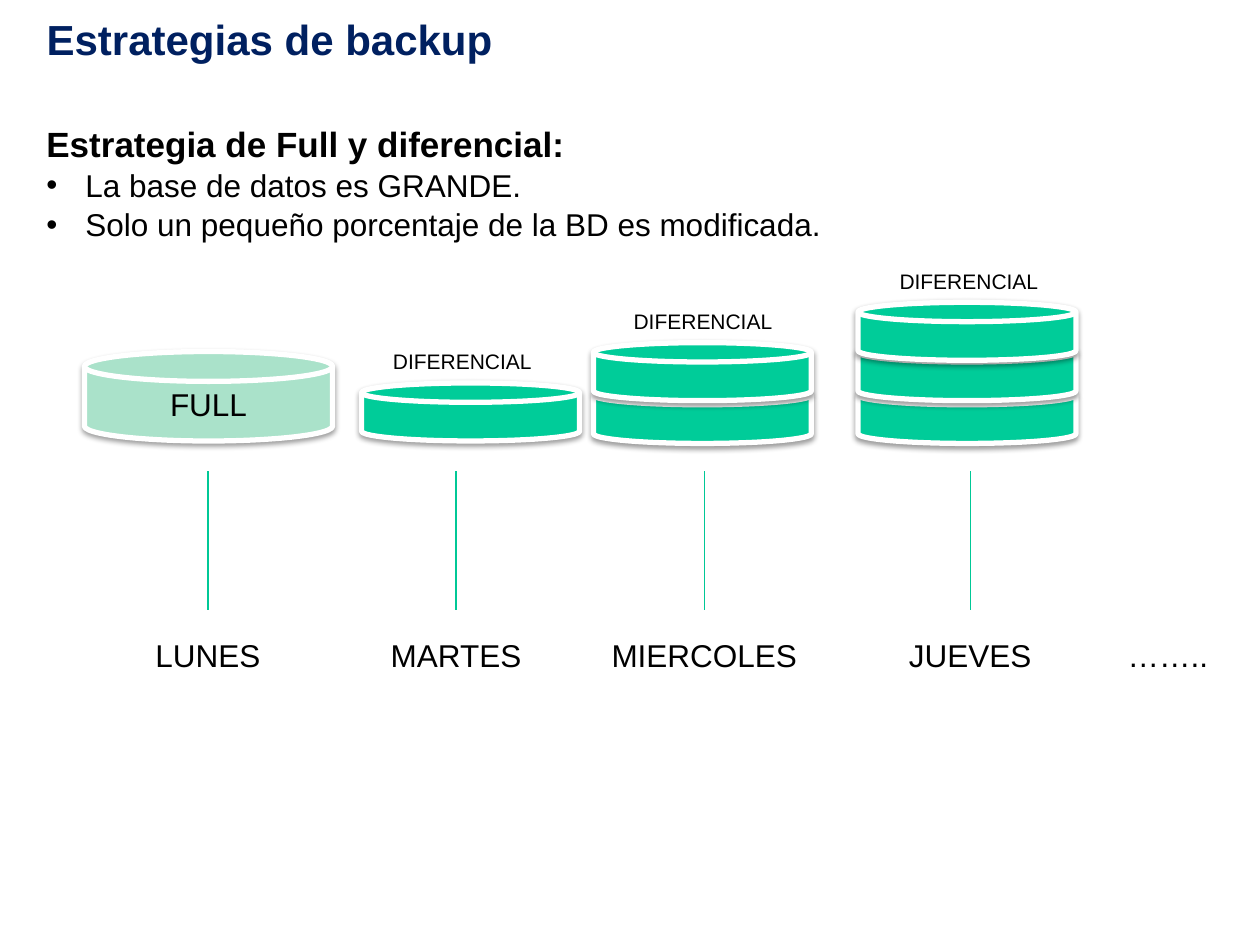
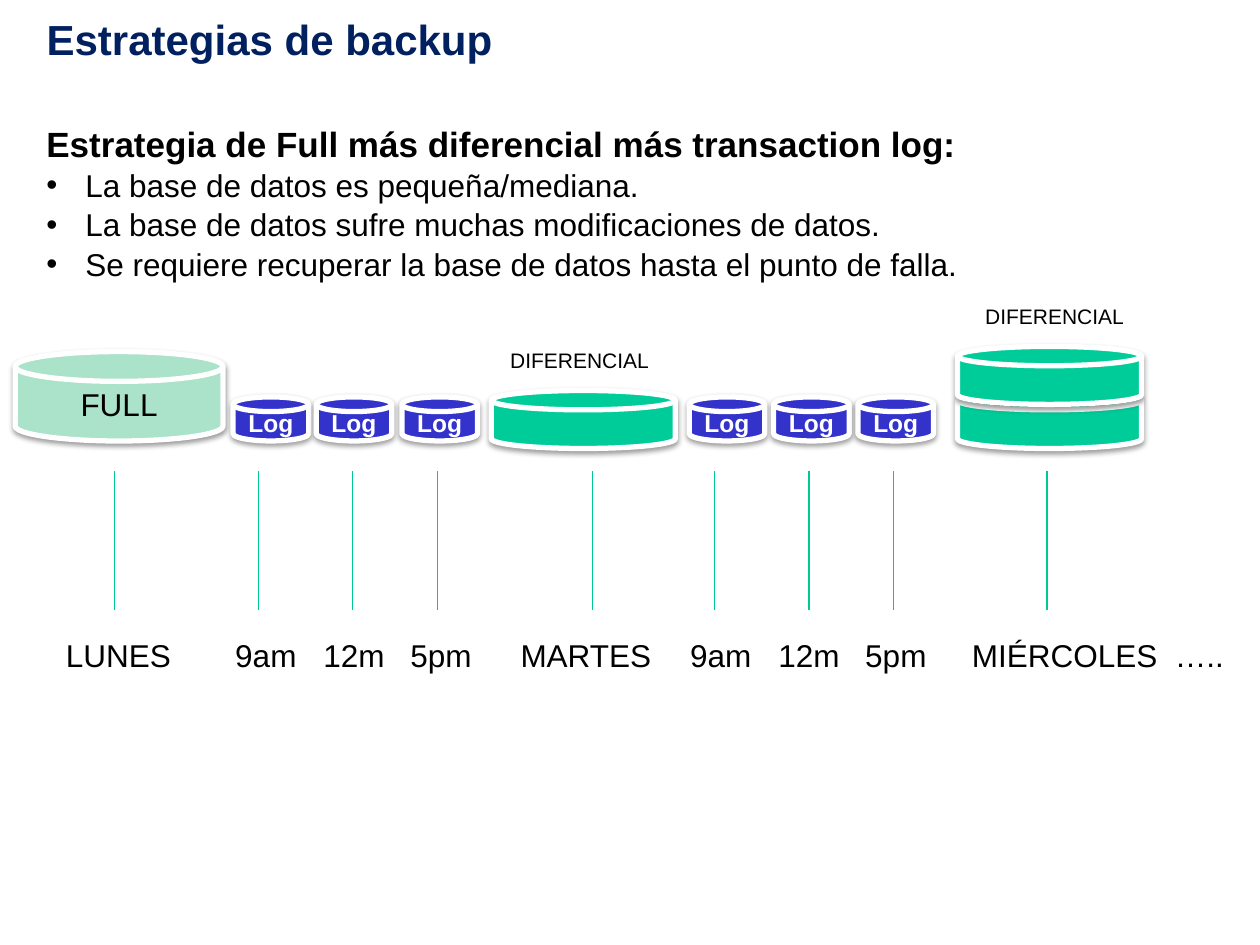
"""Build two slides on backup strategies, each with a timeline of disk stacks."""
import pptx
import pptx.util
import pptx.dml.color
import pptx.enum.shapes
import pptx.enum.text
import pptx.oxml
import pptx.oxml.ns
from lxml import etree

Inches, Pt = pptx.util.Inches, pptx.util.Pt
PP_ALIGN, ANCHOR = pptx.enum.text.PP_ALIGN, pptx.enum.text.MSO_ANCHOR

COLORS = {
    "title": "002060", "text": "000000", "white": "FFFFFF", "line": "00C896",
    "full": "AAE2CA", "diff": "00CC99", "log": "3333CC",
}
FONT = "Arial"
TITLE = "Estrategias de backup"
CAPTION = "DIFERENCIAL"
LINE_TOP, LINE_BOTTOM = 3.74, 4.84
LABEL_TOP, LABEL_W = 5, 1.97

# kind: (height, text, size, colour, bold)
DISKS = {
    "full": (0.71, "FULL", 18, "text", False),
    "diff": (0.46, "", 18, "text", False),
    "log": (0.35, "Log", 14, "white", True),
}

# stacks: (kind, left, tops from bottom to top, caption centre)
# labels: (text, centre)
SLIDES = [
    {
        "heading": "Estrategia de Full y diferencial:",
        "bullets": ["La base de datos es GRANDE.",
                    "Solo un pequeño porcentaje de la BD es modificada."],
        "widths": {"full": 1.97, "diff": 1.73},
        "caption_gap": 0.32,
        "stacks": [("full", 0.67, [2.79], None),
                   ("diff", 2.87, [3.04], 3.67),
                   ("diff", 4.71, [3.06, 2.72], 5.58),
                   ("diff", 6.81, [3.06, 2.72, 2.4], 7.69)],
        "lines": [1.65, 3.62, 5.59, 7.7],
        "labels": [("LUNES", 1.65), ("MARTES", 3.62), ("MIERCOLES", 5.59),
                   ("JUEVES", 7.7), ("……..", 9.27)],
    },
    {
        "heading": "Estrategia de Full más diferencial más transaction log:",
        "bullets": ["La base de datos es pequeña/mediana.",
                    "La base de datos sufre muchas modificaciones de datos.",
                    "Se requiere recuperar la base de datos hasta el punto de falla."],
        "widths": {"full": 1.65, "diff": 1.46, "log": 0.6},
        "caption_gap": 0.39,
        "stacks": [("full", 0.12, [2.79], None),
                   *[("log", x, [3.15], None) for x in (1.85, 2.51, 3.19)],
                   ("diff", 3.9, [3.1], 4.6),
                   *[("log", x, [3.15], None) for x in (5.47, 6.14, 6.81)],
                   ("diff", 7.6, [3.1, 2.75], 8.37)],
        "lines": [0.91, 2.05, 2.8, 3.47, 4.7, 5.67, 6.42, 7.09, 8.31],
        "labels": [("LUNES", 0.94), ("9am", 2.11), ("12m", 2.81), ("5pm", 3.5),
                   ("MARTES", 4.65), ("9am", 5.72), ("12m", 6.42), ("5pm", 7.11),
                   ("MIÉRCOLES", 8.45), ("…..", 9.52)],
    },
]


def rgb(name):
    return pptx.dml.color.RGBColor.from_string(COLORS[name])


def write(p, text, size, color="text", bold=False, align=PP_ALIGN.LEFT):
    p.text = text
    p.alignment = align
    for r in p.runs:
        r.font.name, r.font.size, r.font.bold = FONT, Pt(size), bold
        r.font.color.rgb = rgb(color)


def add_title(s):
    sp = s.shapes.title
    sp.left, sp.top, sp.width, sp.height = map(Inches, (0.27, 0.05, 8.83, 0.51))
    sp.text_frame.vertical_anchor = ANCHOR.MIDDLE
    write(sp.text_frame.paragraphs[0], TITLE, 24, "title", True)


def add_box(s, left, top, width, height):
    tf = s.shapes.add_textbox(*map(Inches, (left, top, width, height))).text_frame
    tf.word_wrap = True
    return tf


def add_body(s, heading, bullets):
    tf = add_box(s, 0.27, 0.92, 9.46, 0.42 + 0.31 * len(bullets))
    write(tf.paragraphs[0], heading, 20, bold=True)
    for text in bullets:
        p = tf.add_paragraph()
        write(p, text, 18)
        p.space_before = Pt(1)
        pPr = p._p.get_or_add_pPr()
        pPr.set("marL", str(Inches(0.31)))
        pPr.set("indent", str(-Inches(0.31)))
        etree.SubElement(pPr, pptx.oxml.ns.qn("a:buFont"), typeface=FONT)
        etree.SubElement(pPr, pptx.oxml.ns.qn("a:buChar"), char="•")


def add_label(s, text, center, top, size, height):
    tf = add_box(s, center - LABEL_W / 2, top, LABEL_W, height)
    write(tf.paragraphs[0], text, size, align=PP_ALIGN.CENTER)


def add_shadow(sp):
    sp.shadow.inherit = False
    effects = sp._element.spPr.find(pptx.oxml.ns.qn("a:effectLst"))
    effects.append(pptx.oxml.parse_xml(
        f'<a:outerShdw {pptx.oxml.ns.nsdecls("a")} blurRad="{Pt(3.1)}" dist="{Pt(1.6)}" '
        'dir="5400000" rotWithShape="0"><a:srgbClr val="000000">'
        '<a:alpha val="38000"/></a:srgbClr></a:outerShdw>'))


def add_disk(s, kind, left, top, width):
    height, text, size, color, bold = DISKS[kind]
    sp = s.shapes.add_shape(
        pptx.enum.shapes.MSO_SHAPE.FLOWCHART_MAGNETIC_DISK,
        *map(Inches, (left, top, width, height)))
    sp.fill.solid()
    sp.fill.fore_color.rgb = rgb(kind)
    sp.line.color.rgb = rgb("white")
    sp.line.width = Pt(3)
    add_shadow(sp)
    if text:
        sp.text_frame.vertical_anchor = ANCHOR.MIDDLE
        write(sp.text_frame.paragraphs[0], text, size, color, bold, PP_ALIGN.CENTER)


def add_line(s, x):
    line = s.shapes.add_connector(
        pptx.enum.shapes.MSO_CONNECTOR.STRAIGHT,
        *map(Inches, (x, LINE_TOP, x, LINE_BOTTOM)))
    line.line.color.rgb = rgb("line")
    line.line.width = Pt(0.75)
    etree.SubElement(line._element.spPr, pptx.oxml.ns.qn("a:effectLst"))


def add_slide(prs, data):
    s = prs.slides.add_slide(prs.slide_layouts[5])
    add_title(s)
    add_body(s, data["heading"], data["bullets"])
    for kind, left, tops, caption_x in data["stacks"]:
        for top in tops:
            add_disk(s, kind, left, top, data["widths"][kind])
        if caption_x:
            add_label(s, CAPTION, caption_x, tops[-1] - data["caption_gap"], 12, 0.3)
    for x in data["lines"]:
        add_line(s, x)
    for text, center in data["labels"]:
        add_label(s, text, center, LABEL_TOP, 18, 0.4)


def main():
    prs = pptx.Presentation()
    prs.slide_width, prs.slide_height = Inches(10), Inches(7.5)
    for data in SLIDES:
        add_slide(prs, data)
    prs.save("out.pptx")


if __name__ == "__main__":
    main()
